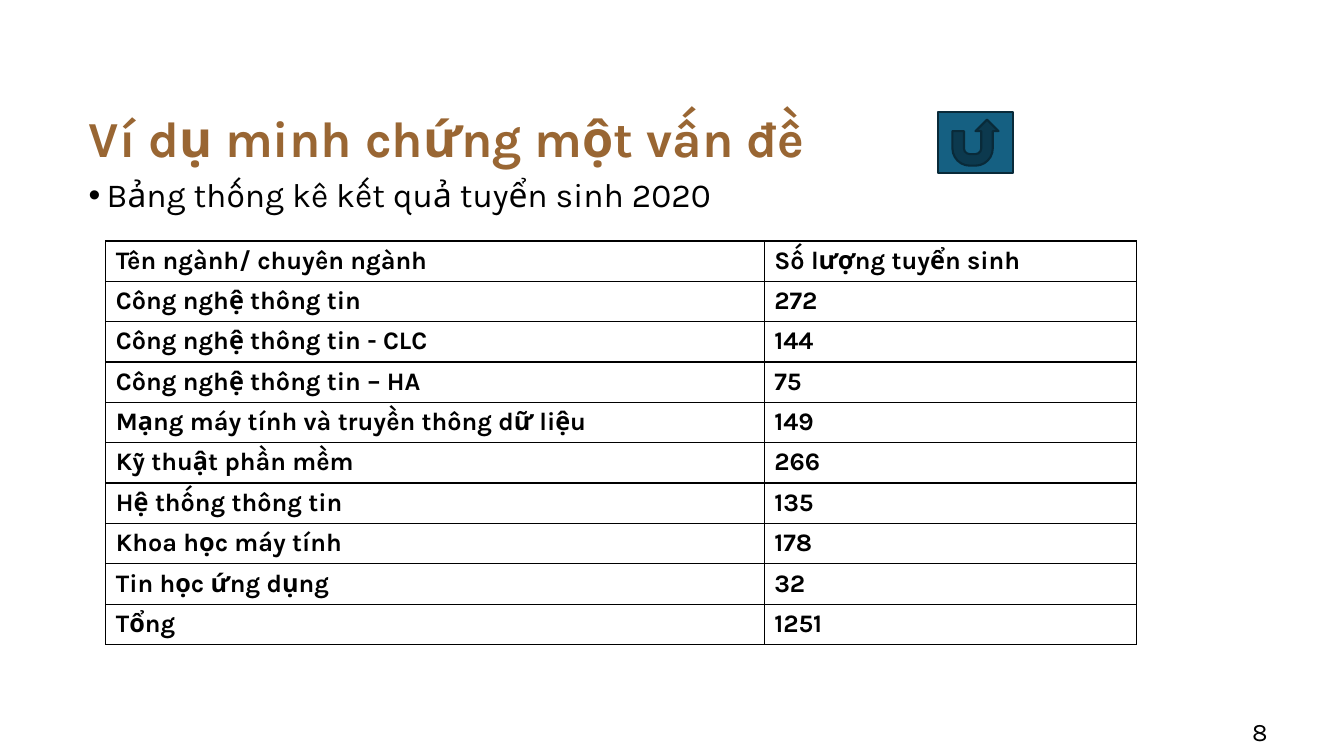
from dataclasses import dataclass

import pptx
import pptx.dml.color
import pptx.enum.shapes
import pptx.enum.text
import pptx.oxml
import pptx.oxml.ns
import pptx.util

PX = 9144  # EMU in one px, 100 px to the inch


@dataclass(frozen=True)
class Theme:
    font: str = "Karla"
    ink: str = "000000"
    paper: str = "FFFFFF"
    heading: str = "996633"
    button: str = "156082"
    button_edge: str = "092A39"
    title_size: int = 36
    body_size: int = 24
    table_size: int = 18


@dataclass(frozen=True)
class Area:
    left: int
    top: int
    width: int
    height: int

    def emu(self) -> list[int]:
        return [side * PX for side in (self.left, self.top, self.width, self.height)]


@dataclass(frozen=True)
class Programme:
    name: str
    enrolled: str


THEME = Theme()
ROW_HEIGHT = 40
COLUMN_WIDTHS = (653, 369)
ROWS = [
    Programme("Tên ngành/ chuyên ngành", "Số lượng tuyển sinh"),
    Programme("Công nghệ thông tin", "272"),
    Programme("Công nghệ thông tin - CLC", "144"),
    Programme("Công nghệ thông tin – HA", "75"),
    Programme("Mạng máy tính và truyền thông dữ liệu", "149"),
    Programme("Kỹ thuật phần mềm", "266"),
    Programme("Hệ thống thông tin", "135"),
    Programme("Khoa học máy tính", "178"),
    Programme("Tin học ứng dụng", "32"),
    Programme("Tổng", "1251"),
]


def colour(code: str) -> pptx.dml.color.RGBColor:
    return pptx.dml.color.RGBColor.from_string(code)


def write(frame, text: str, *, size: int, ink: str = THEME.ink, bold: bool = False,
          line_spacing: float = 1.0, space_before: int = 0):
    """Put one left-aligned paragraph into a text frame and return it."""
    frame.word_wrap = True
    para = frame.paragraphs[0]
    para.alignment = pptx.enum.text.PP_ALIGN.LEFT
    para.line_spacing = line_spacing
    para.space_before = pptx.util.Pt(space_before)
    span = para.add_run()
    span.text = text
    span.font.name = THEME.font
    span.font.size = pptx.util.Pt(size)
    span.font.bold = bold
    span.font.color.rgb = colour(ink)
    return para


def add_bullet(para, indent: int) -> None:
    properties = para._p.get_or_add_pPr()
    properties.set("marL", str(indent * PX))
    properties.set("indent", str(-indent * PX))
    namespace = pptx.oxml.ns.nsdecls("a")
    properties.append(pptx.oxml.parse_xml(f'<a:buFont {namespace} typeface="Arial"/>'))
    properties.append(pptx.oxml.parse_xml(f'<a:buChar {namespace} char="•"/>'))


def add_borders(cell) -> None:
    properties = cell._tc.get_or_add_tcPr()
    for position, side in enumerate(("lnL", "lnR", "lnT", "lnB")):
        properties.insert(position, pptx.oxml.parse_xml(
            f'<a:{side} {pptx.oxml.ns.nsdecls("a")} w="12700"><a:solidFill>'
            f'<a:srgbClr val="{THEME.ink}"/></a:solidFill></a:{side}>'))


def add_title(page, text: str, area: Area) -> None:
    title = page.shapes.title
    title.left, title.top, title.width, title.height = area.emu()
    frame = title.text_frame
    frame.auto_size = pptx.enum.text.MSO_AUTO_SIZE.NONE
    frame.vertical_anchor = pptx.enum.text.MSO_ANCHOR.BOTTOM
    write(frame, text, size=THEME.title_size, ink=THEME.heading, bold=True,
          line_spacing=0.9)


def add_table(page, rows: list[Programme], left: int, top: int) -> None:
    area = Area(left, top, sum(COLUMN_WIDTHS), ROW_HEIGHT * len(rows))
    table = page.shapes.add_table(len(rows), len(COLUMN_WIDTHS), *area.emu()).table
    table.first_row = table.horz_banding = False
    for column, width in zip(table.columns, COLUMN_WIDTHS):
        column.width = width * PX
    for line, programme in zip(table.rows, rows):
        line.height = ROW_HEIGHT * PX
        for cell, text in zip(line.cells, (programme.name, programme.enrolled)):
            cell.fill.solid()
            cell.fill.fore_color.rgb = colour(THEME.paper)
            add_borders(cell)
            write(cell.text_frame, text, size=THEME.table_size, bold=True)


def add_return_button(page, area: Area) -> None:
    button = page.shapes.add_shape(
        pptx.enum.shapes.MSO_SHAPE.ACTION_BUTTON_RETURN, *area.emu())
    button.shadow.inherit = False
    button.fill.solid()
    button.fill.fore_color.rgb = colour(THEME.button)
    button.line.color.rgb = colour(THEME.button_edge)
    button.line.width = pptx.util.Pt(1.5)


def main() -> None:
    deck = pptx.Presentation()
    deck.slide_width, deck.slide_height = 1333 * PX, 750 * PX
    page = deck.slides.add_slide(deck.slide_layouts.get_by_name("Title Only"))

    # Heading and lead line
    add_title(page, "Ví dụ minh chứng một vấn đề", Area(78, 111, 1162, 61))
    lead = page.shapes.add_textbox(*Area(78, 172, 1150, 81).emu())
    para = write(lead.text_frame, "Bảng thống kê kết quả tuyển sinh 2020",
                 size=THEME.body_size, line_spacing=0.9, space_before=10)
    add_bullet(para, indent=18)

    # Enrolment table
    add_table(page, ROWS, left=105, top=239)

    # Return button and page number
    add_return_button(page, Area(930, 111, 75, 61))
    number = page.shapes.add_textbox(*Area(1232, 706, 73, 40).emu())
    write(number.text_frame, "8", size=THEME.table_size)

    deck.save("out.pptx")


if __name__ == "__main__":
    main()
